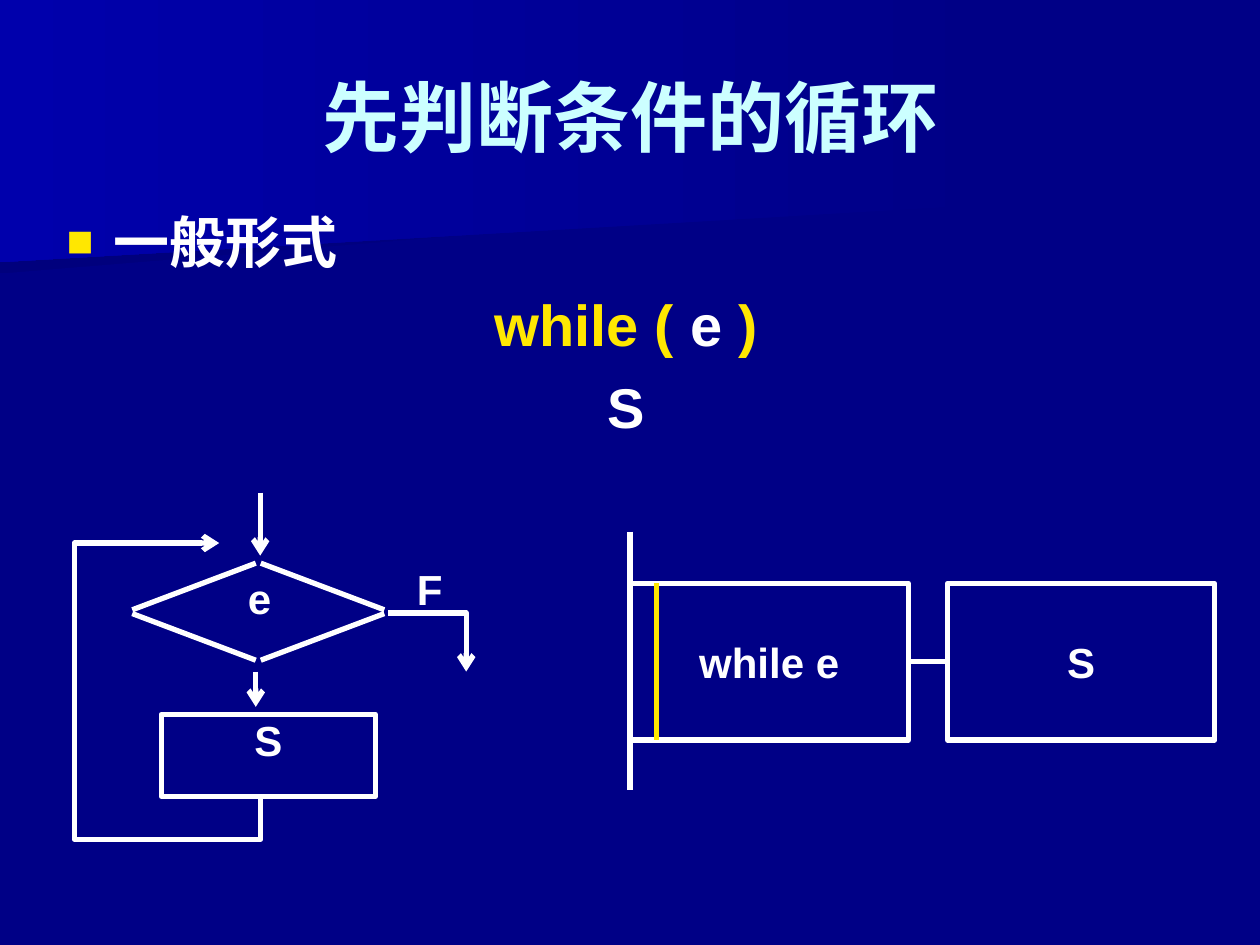
"""Build a slide on the while loop: its general form, flowchart and box diagram."""
import pptx
import pptx.dml.color
import pptx.enum.dml
import pptx.enum.shapes
import pptx.enum.text
import pptx.oxml
import pptx.oxml.ns
import pptx.util

RGBColor = pptx.dml.color.RGBColor
NAVY = RGBColor(0x00, 0x00, 0x86)
DARK_NAVY = RGBColor(0x00, 0x00, 0x7D)
BLUE = RGBColor(0x00, 0x00, 0xAC)
ICE = RGBColor(0xCC, 0xFF, 0xFF)
WHITE = RGBColor(0xFF, 0xFF, 0xFF)
YELLOW = RGBColor(0xFF, 0xE7, 0x01)

COLUMNS, ROWS = 100, 75
UNIT = pptx.util.Inches(10) // COLUMNS
CENTER = pptx.enum.text.PP_ALIGN.CENTER
LEFT = pptx.enum.text.PP_ALIGN.LEFT
TOP = pptx.enum.text.MSO_ANCHOR.TOP
MIDDLE = pptx.enum.text.MSO_ANCHOR.MIDDLE


def grid(*values):
    return [round(value * UNIT) for value in values]


def add_xml(parent, tag, **attributes):
    child = pptx.oxml.parse_xml(f"<a:{tag} {pptx.oxml.ns.nsdecls('a')}/>")
    for name, value in attributes.items():
        child.set(name, str(value))
    parent.append(child)


def style_font(font, size, color):
    font.name = "Arial"
    font.size = pptx.util.Pt(size)
    font.bold = True
    font.color.rgb = color


def style_line(line, color=WHITE, arrow=False):
    line.color.rgb = color
    line.width = pptx.util.Pt(3)
    if arrow:
        add_xml(line._get_or_add_ln(), "tailEnd", type="arrow")


def set_label(frame, text, size=24, color=WHITE, align=CENTER, anchor=TOP, insets=(0, 0)):
    frame.word_wrap = True
    frame.vertical_anchor = anchor
    frame.margin_left = frame.margin_right = round(insets[0] * UNIT)
    frame.margin_top = frame.margin_bottom = round(insets[1] * UNIT)
    para = frame.paragraphs[0]
    para.text = text
    para.alignment = align
    style_font(para.font, size, color)


def add_label(page, area, text, **options):
    box = page.shapes.add_textbox(*grid(*area))
    set_label(box.text_frame, text, **options)
    return box.text_frame


def add_box(page, area, text, anchor=MIDDLE):
    box = page.shapes.add_shape(pptx.enum.shapes.MSO_SHAPE.RECTANGLE, *grid(*area))
    box.shadow.inherit = False
    box.fill.background()
    style_line(box.line)
    set_label(box.text_frame, text, anchor=anchor)


def add_line(page, start, end, color=WHITE, arrow=False):
    line = page.shapes.add_connector(
        pptx.enum.shapes.MSO_CONNECTOR.STRAIGHT, *grid(*start, *end))
    style_line(line.line, color, arrow)
    add_xml(line._element.spPr, "effectLst")


def add_outline(page, points, close):
    start, *others = [grid(*point) for point in points]
    builder = page.shapes.build_freeform(*start)
    builder.add_line_segments(others, close=close)
    shape = builder.convert_to_shape()
    shape.shadow.inherit = False
    return shape


def add_elbow_arrow(page, points):
    elbow = add_outline(page, points, close=False)
    elbow.fill.background()
    style_line(elbow.line, arrow=True)


def add_band(page, points, left_color):
    band = add_outline(page, points, close=True)
    band.line.fill.background()
    band.fill.gradient()
    band.fill.gradient_angle = 180
    for stop, color, position in zip(band.fill.gradient_stops, (NAVY, left_color), (0, 1)):
        stop.color.rgb = color
        stop.position = position


def add_general_form(page):
    frame = add_label(page, (4.3, 16, 90, 22.9), "一般形式", size=32, align=LEFT,
                      insets=(1, 0.5))
    properties = frame.paragraphs[0]._p.get_or_add_pPr()
    indent, = grid(3.75)
    properties.set("marL", str(indent))
    properties.set("indent", str(-indent))
    properties.insert(0, pptx.oxml.parse_xml(
        f'<a:buClr {pptx.oxml.ns.nsdecls("a")}><a:srgbClr val="{YELLOW}"/></a:buClr>'))
    for position, (tag, attributes) in enumerate(
            (("buSzPct", {"val": 80000}), ("buFont", {"typeface": "Arial"}),
             ("buChar", {"char": "■"})), start=1):
        add_xml(properties, tag, **attributes)
        properties.insert(position, properties[-1])
    code_lines = (((("while (", YELLOW), (" e ", WHITE), (")", YELLOW)), 33),
                  ((("S", WHITE),), 32))
    for spans, size in code_lines:
        para = frame.add_paragraph()
        para.alignment = CENTER
        para.space_before = pptx.util.Pt(8)
        para._p.get_or_add_pPr().set("marL", str(grid(0.8)[0]))
        for text, color in spans:
            span = para.add_run()
            span.text = text
            style_font(span.font, size, color)


def add_flowchart(page):
    center_x, center_y = 20.5, 48.55
    for side in (-1, 1):
        for end in (-1, 1):
            add_line(page, (center_x + side * 0.2, center_y + end * 3.85),
                     (center_x + side * 10, center_y + end * 0.15))
    add_box(page, (12.8, 56.7, 17, 6.5), "S", anchor=TOP)
    add_line(page, (20.65, 39.1), (20.65, 44.1), arrow=True)
    add_line(page, (20.3, 53.3), (20.3, 56.1), arrow=True)
    add_elbow_arrow(page, ((20.7, 63.2), (20.7, 66.6), (5.9, 66.6), (5.9, 43.1), (17.4, 43.1)))
    add_elbow_arrow(page, ((30.8, 48.65), (37, 48.65), (37, 53.3)))
    add_label(page, (18, 45.4, 5.2, 4.5), "e")
    add_label(page, (33.1, 44.7, 4.3, 4.3), "F", align=LEFT)


def add_box_diagram(page):
    top, height, left, width = 46.3, 12.45, 50, 22.1
    add_line(page, (left, 42.2), (left, 62.7))
    add_box(page, (left, top, width, height), "while e")
    add_line(page, (left + 2.1, top), (left + 2.1, top + height), YELLOW)
    add_line(page, (left + width, top + height / 2), (75.2, top + height / 2))
    add_box(page, (75.2, top, 21.2, height), "S")


def main():
    deck = pptx.Presentation()
    deck.slide_width, deck.slide_height = grid(COLUMNS, ROWS)
    page = deck.slides.add_slide(deck.slide_layouts[6])
    page.background.fill.solid()
    page.background.fill.fore_color.rgb = NAVY
    add_band(page, ((77.8, 15.3), (0, 21.7), (0, 10.1), (77.9, 10.1)), DARK_NAVY)
    add_band(page, ((79.2, 16.2), (0, 20.8), (0, 0), (79.2, 0)), BLUE)
    add_label(page, (5.1, 3.4, 90, 11.5), "先判断条件的循环", size=44, color=ICE,
              anchor=MIDDLE, insets=(1, 0.5))
    add_general_form(page)
    add_flowchart(page)
    add_box_diagram(page)
    deck.save("out.pptx")


if __name__ == "__main__":
    main()
